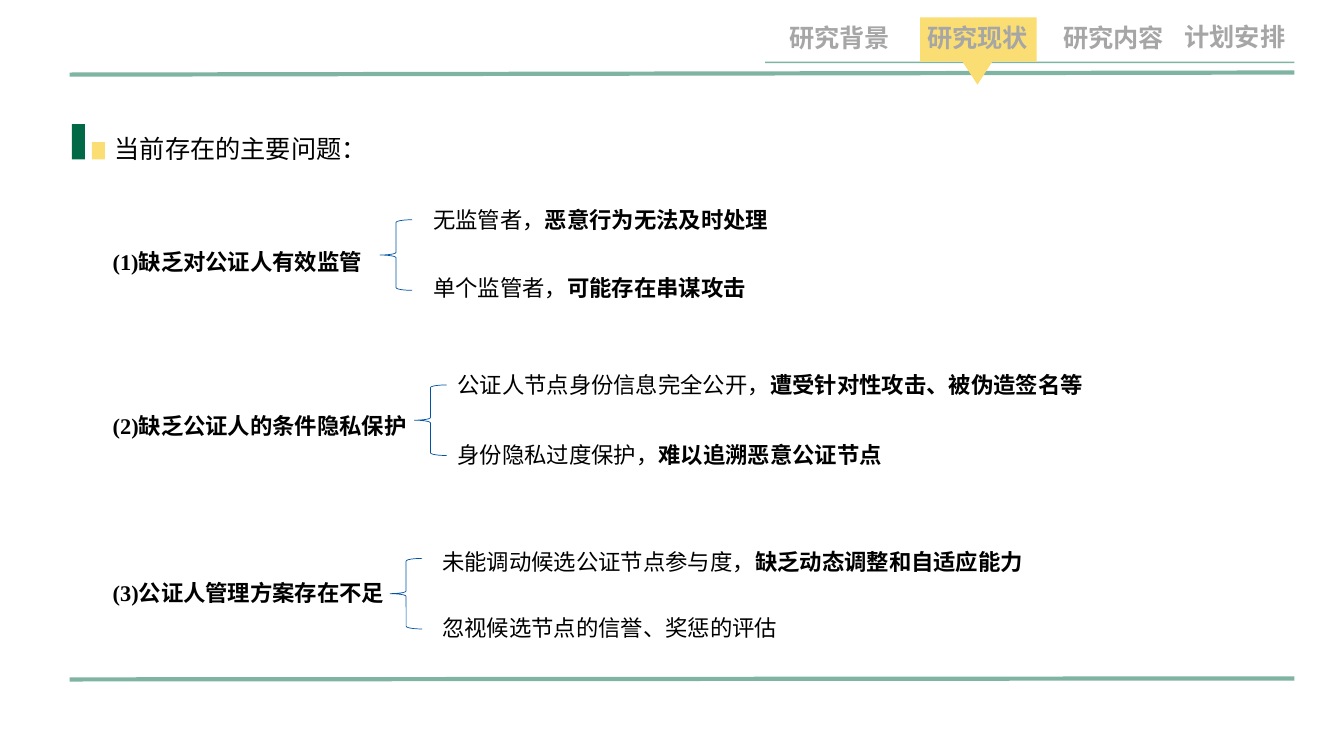
from dataclasses import dataclass

from lxml.etree import SubElement
from pptx import Presentation
from pptx.dml.color import RGBColor as RGB
from pptx.enum.shapes import MSO_CONNECTOR as Connector, MSO_SHAPE as Shape
from pptx.enum.text import MSO_AUTO_SIZE as AutoSize, PP_ALIGN as Align
from pptx.oxml.ns import qn
from pptx.util import Pt


@dataclass(frozen=True)
class Theme:
    green: RGB = RGB(0x01, 0x69, 0x46)
    yellow: RGB = RGB(0xFA, 0xDE, 0x73)
    blue: RGB = RGB(0x00, 0x53, 0xA3)
    gray: RGB = RGB(0xA6, 0xA6, 0xA6)
    black: RGB = RGB(0, 0, 0)
    tab_font: str = "Noto Sans CJK SC"
    heading_font: str = "DejaVu Sans"
    body_font: str = "Times New Roman"
    large: float = 18
    body: float = 16


class SlideBuilder:
    def __init__(self, slide, theme):
        self.shapes = slide.shapes
        self.theme = theme

    def rule(self, x1, y1, x2, y2, weight):
        rule = self.shapes.add_connector(Connector.STRAIGHT, Pt(x1), Pt(y1), Pt(x2), Pt(y2))
        rule.line.width = Pt(weight)
        rule.line.color.rgb = self.theme.green
        color = rule.line.fill._xPr.find(qn("a:solidFill"))[0]
        SubElement(color, qn("a:alpha"), val="50000")
        SubElement(rule._element.spPr, qn("a:effectLst"))

    def block(self, kind, left, top, width, height, color, rotation=0):
        block = self.shapes.add_shape(kind, Pt(left), Pt(top), Pt(width), Pt(height))
        block.shadow.inherit = False
        block.fill.solid()
        block.fill.fore_color.rgb = color
        block.line.fill.background()
        block.rotation = rotation

    def brace(self, left, top):
        brace = self.shapes.add_shape(Shape.LEFT_BRACE, Pt(left), Pt(top), Pt(23), Pt(50.4))
        brace.shadow.inherit = False
        brace.fill.background()
        brace.line.color.rgb = self.theme.blue
        brace.line.width = Pt(0.5)

    def text(self, left, top, width, plain="", strong="", *, size=None, font=None,
             color=None, wrap=True, align=None, spacing=None):
        size = size or self.theme.body
        box = self.shapes.add_textbox(Pt(left), Pt(top), Pt(width), Pt(size * 1.2 * (spacing or 1) + 7.2))
        frame = box.text_frame
        frame.word_wrap = wrap
        frame.auto_size = AutoSize.SHAPE_TO_FIT_TEXT
        paragraph = frame.paragraphs[0]
        paragraph.alignment = align
        paragraph.line_spacing = spacing
        paragraph.font.size = Pt(size)
        paragraph.font.color.rgb = color or self.theme.black
        paragraph.font.name = font or self.theme.body_font
        for words, bold in ((plain, False), (strong, True)):
            if words:
                run = paragraph.add_run()
                run.text = words
                run.font.bold = bold


TABS = [
    ("研究背景", 556.6, 12.2, 88.6, Align.LEFT),
    ("研究现状", 655.2, 12.2, 88.6, Align.LEFT),
    ("研究内容", 752.4, 12.2, 89.3, Align.LEFT),
    ("计划安排", 820.1, 11.5, 105.1, Align.RIGHT),
]
PROBLEMS = [
    ("(1)缺乏对公证人有效监管", 164.2, 196.6, 1.5, (271.4, 157), 302.4, [
        (144, 275, "无监管者，", "恶意行为无法及时处理"),
        (192.2, 255, "单个监管者，", "可能存在串谋攻击"),
    ]),
    ("(2)缺乏公证人的条件隐私保护", 281.5, 229, 1.5, (296, 275), 319.7, [
        (261.4, 479.5, "公证人节点身份信息完全公开，", "遭受针对性攻击、被伪造签名等"),
        (311.8, 375, "身份隐私过度保护，", "难以追溯恶意公证节点"),
    ]),
    ("(3)公证人管理方案存在不足", 410.4, 212.4, None, (278.6, 398.9), 308.9, [
        (388.1, 459.4, "未能调动候选公证节点参与度，", "缺乏动态调整和自适应能力"),
        (434.9, 268.6, "忽视候选节点的信誉、奖惩的评估", ""),
    ]),
]


def main():
    deck = Presentation()
    deck.slide_width, deck.slide_height = Pt(960), Pt(540)
    theme = Theme()
    page = SlideBuilder(deck.slides.add_slide(deck.slide_layouts[6]), theme)

    page.rule(49.7, 53.3, 924.5, 51.8, 3)
    page.rule(49.7, 485.3, 924.5, 484.6, 3)
    page.rule(546.5, 44.6, 924.5, 44.6, 1)
    page.block(Shape.RECTANGLE, 657.2, 12.4, 83.3, 31.7, theme.yellow)
    page.block(Shape.ISOSCELES_TRIANGLE, 687, 43.2, 22.3, 17.3, theme.yellow, 180)
    for label, left, top, width, align in TABS:
        page.text(left, top, width, strong=label, size=theme.large,
                  font=theme.tab_font, color=theme.gray, align=align)

    page.block(Shape.RECTANGLE, 51.3, 88.6, 9.4, 25.2, theme.green)
    page.block(Shape.RECTANGLE, 65.6, 101.5, 9.4, 12.3, theme.yellow)
    page.text(74.9, 91.4, 196.6, "当前存在的主要问题：", size=theme.large,
              font=theme.heading_font, wrap=False)

    for problem, top, width, spacing, brace, detail_left, details in PROBLEMS:
        page.text(73.4, top, width, strong=problem, wrap=False, spacing=spacing)
        page.brace(*brace)
        for detail_top, detail_width, plain, strong in details:
            page.text(detail_left, detail_top, detail_width, plain, strong)

    deck.save("out.pptx")


if __name__ == "__main__":
    main()
